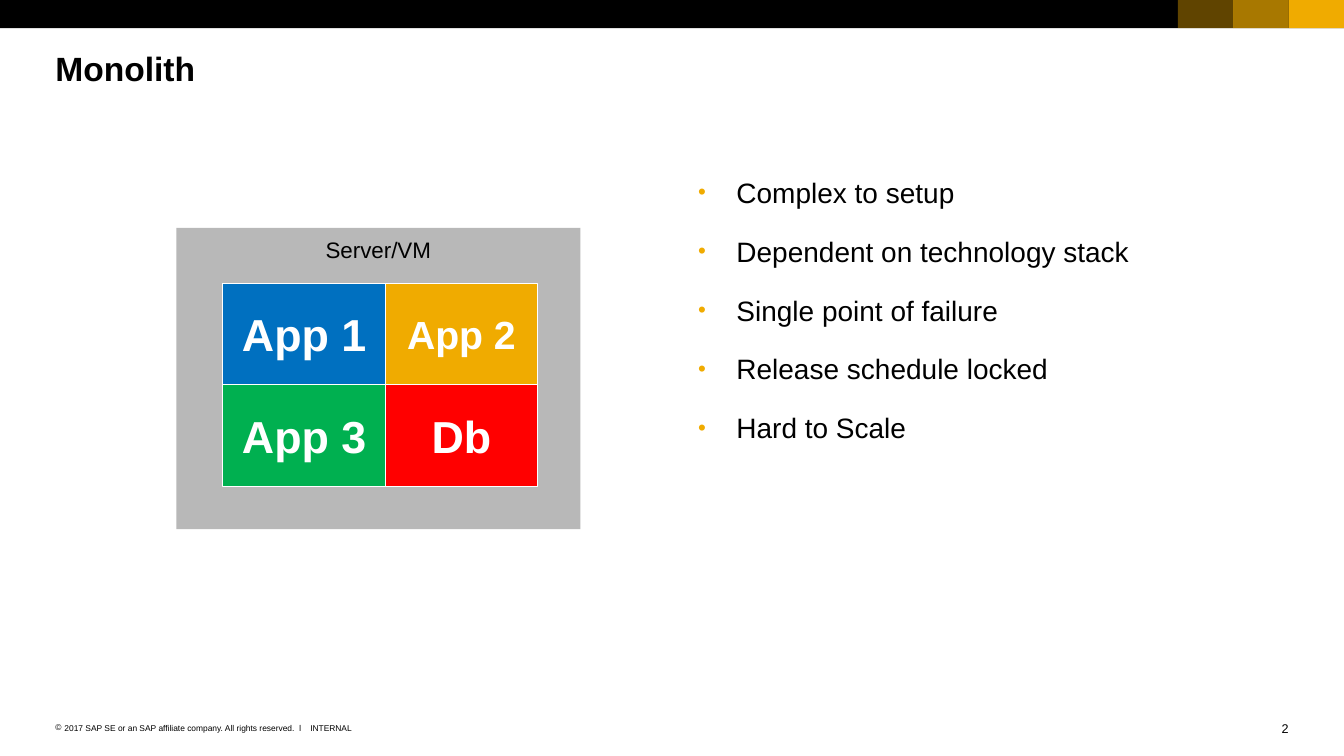
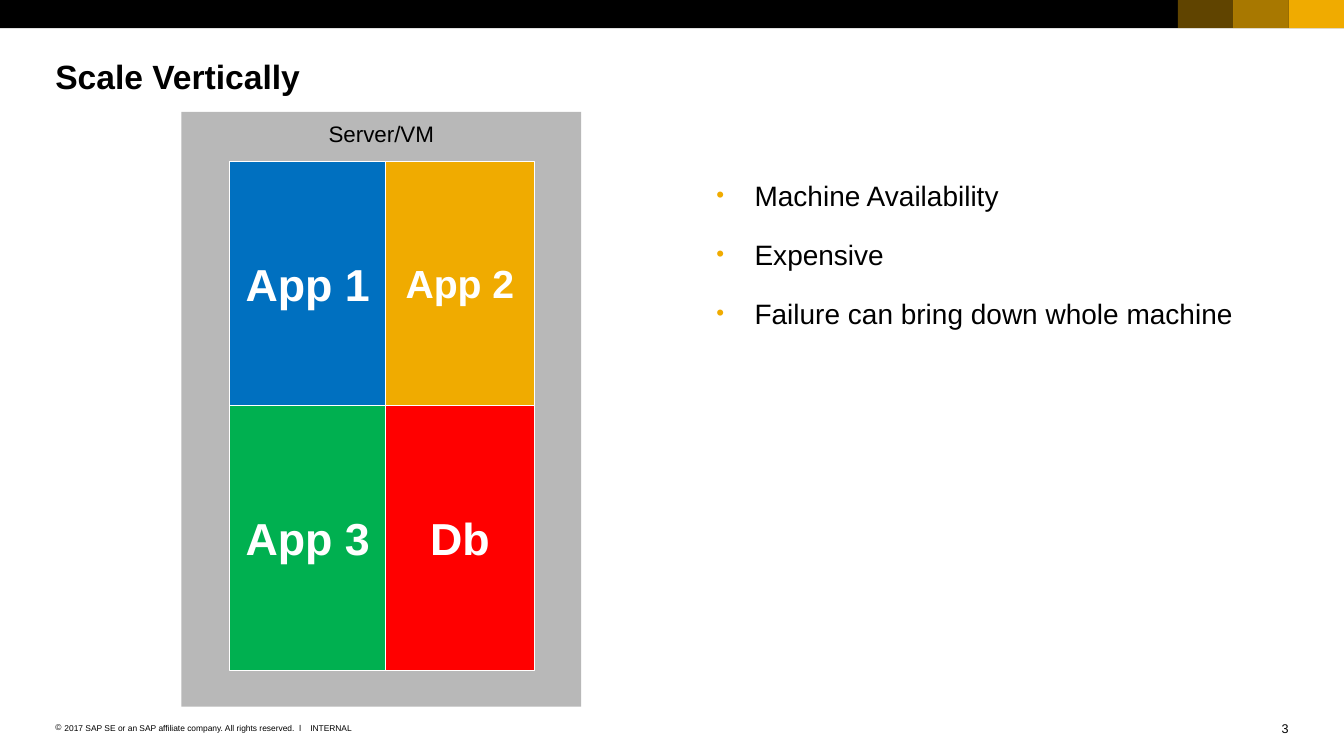
"""Build two slides on a monolith and on scaling it vertically."""
from dataclasses import dataclass

from lxml import etree
from pptx import Presentation
from pptx.dml.color import RGBColor
from pptx.enum.shapes import MSO_SHAPE
from pptx.enum.text import MSO_ANCHOR, PP_ALIGN
from pptx.oxml.ns import qn
from pptx.util import Inches, Pt


@dataclass(frozen=True)
class Theme:
    font: str = "Arial"
    black: str = "000000"
    white: str = "FFFFFF"
    gold: str = "F0AB00"
    gray: str = "B8B8B8"
    blue: str = "0070C0"
    green: str = "00B050"
    red: str = "FF0000"
    title: int = 24
    body: int = 20
    server: int = 16
    app: int = 32
    app_small: int = 28
    number: int = 9
    footer: int = 6


T = Theme()
WIDTH, HEIGHT, MARGIN, BAND = 13.34, 7.5, 0.55, 0.28
CONTENT = WIDTH - 2 * MARGIN

APPS = [
    ("App 1", T.blue, T.app),
    ("App 2", T.gold, T.app_small),
    ("App 3", T.green, T.app),
    ("Db", T.red, T.app),
]
SLIDES = [
    {
        "number": "2",
        "title": "Monolith",
        "title_top": 0.48,
        "server": (1.75, 2.26, 4.01, 2.99),
        "cols": (2.21, 3.83, 5.33),
        "rows": (2.81, 3.81, 4.83),
        "body": (6.93, 1.74, 5.57, 4.33),
        "points": [
            "Complex to setup",
            "Dependent on technology stack",
            "Single point of failure",
            "Release schedule locked",
            "Hard to Scale",
        ],
    },
    {
        "number": "3",
        "title": "Scale Vertically",
        "title_top": 0.55,
        "server": (1.8, 1.11, 3.97, 5.9),
        "cols": (2.28, 3.83, 5.3),
        "rows": (1.6, 4.02, 6.65),
        "body": (7.11, 1.77, 5.67, 4.63),
        "points": [
            "Machine Availability",
            "Expensive",
            "Failure can bring down whole machine",
        ],
    },
]


def add_text(s, box, lines, size, bold=False, align=PP_ALIGN.LEFT, bullet=None):
    """Add a text box; bullet is (character, colour, percent, indent)."""
    tf = s.shapes.add_textbox(*map(Inches, box)).text_frame
    tf.word_wrap = True
    tf.margin_left = tf.margin_top = tf.margin_right = tf.margin_bottom = 0
    tf.text = "\n".join(lines)
    for i, p in enumerate(tf.paragraphs):
        p.alignment = align
        if i:
            p.space_before = Pt(18)
        if bullet:
            char, color, percent, indent = bullet
            pPr = p._p.get_or_add_pPr()
            pPr.set("marL", str(Inches(indent)))
            pPr.set("indent", str(-Inches(indent)))
            clr = etree.SubElement(pPr, qn("a:buClr"))
            etree.SubElement(clr, qn("a:srgbClr"), val=color)
            etree.SubElement(pPr, qn("a:buSzPct"), val=str(percent * 1000))
            etree.SubElement(pPr, qn("a:buFont"), typeface=T.font)
            etree.SubElement(pPr, qn("a:buChar"), char=char)
        font = p.runs[0].font
        font.name, font.size, font.bold = T.font, Pt(size), bold
        font.color.rgb = RGBColor.from_string(T.black)


def add_rect(s, box, fill, text="", size=T.server, color=T.black, app=False):
    """Add a filled rectangle; app gives a white edge and bold centred text."""
    sp = s.shapes.add_shape(MSO_SHAPE.RECTANGLE, *map(Inches, box))
    sp.shadow.inherit = False
    sp.fill.solid()
    sp.fill.fore_color.rgb = RGBColor.from_string(fill)
    if app:
        sp.line.color.rgb = RGBColor.from_string(T.white)
        sp.line.width = Pt(0.5)
    else:
        sp.line.fill.background()
    if text:
        tf = sp.text_frame
        tf.margin_left = tf.margin_right = Inches(0.1)
        tf.margin_top = tf.margin_bottom = Inches(0.08)
        tf.vertical_anchor = MSO_ANCHOR.MIDDLE if app else MSO_ANCHOR.TOP
        tf.text = text
        p = tf.paragraphs[0]
        p.alignment = PP_ALIGN.CENTER
        font = p.runs[0].font
        font.name, font.size, font.bold = T.font, Pt(size), app
        font.color.rgb = RGBColor.from_string(color)
    return sp


prs = Presentation()
prs.slide_width, prs.slide_height = Inches(WIDTH), Inches(HEIGHT)

for data in SLIDES:
    s = prs.slides.add_slide(prs.slide_layouts[6])

    add_rect(s, (0, 0, WIDTH, BAND), T.black)
    for i, opacity in enumerate((100, 70, 40), start=1):
        sp = add_rect(s, (WIDTH - i * MARGIN, 0, MARGIN, BAND), T.gold)
        if opacity < 100:
            clr = sp._element.spPr.find(qn("a:solidFill"))[0]
            etree.SubElement(clr, qn("a:alpha"), val=str(opacity * 1000))

    add_text(s, (MARGIN, data["title_top"], CONTENT, 0.4), [data["title"]], T.title, bold=True)
    add_text(s, data["body"], data["points"], T.body, bullet=("•", T.gold, 80, 0.38))

    add_rect(s, data["server"], T.gray, "Server/VM")
    cols, rows = data["cols"], data["rows"]
    for i, (name, fill, size) in enumerate(APPS):
        row, col = divmod(i, 2)
        x, y = cols[col], rows[row]
        box = (x, y, cols[col + 1] - x, rows[row + 1] - y)
        add_rect(s, box, fill, name, size, T.white, app=True)

    add_text(s, (MARGIN, 7.17, 2.48, 0.1),
             ["2017 SAP SE or an SAP affiliate company. All rights reserved.  ǀ"],
             T.footer, bullet=("©", T.black, 100, 0.09))
    add_text(s, (3.08, 7.17, 0.6, 0.1), ["INTERNAL"], T.footer)
    add_text(s, (12.29, 7.15, 0.5, 0.15), [data["number"]], T.number, align=PP_ALIGN.RIGHT)

prs.save("out.pptx")
